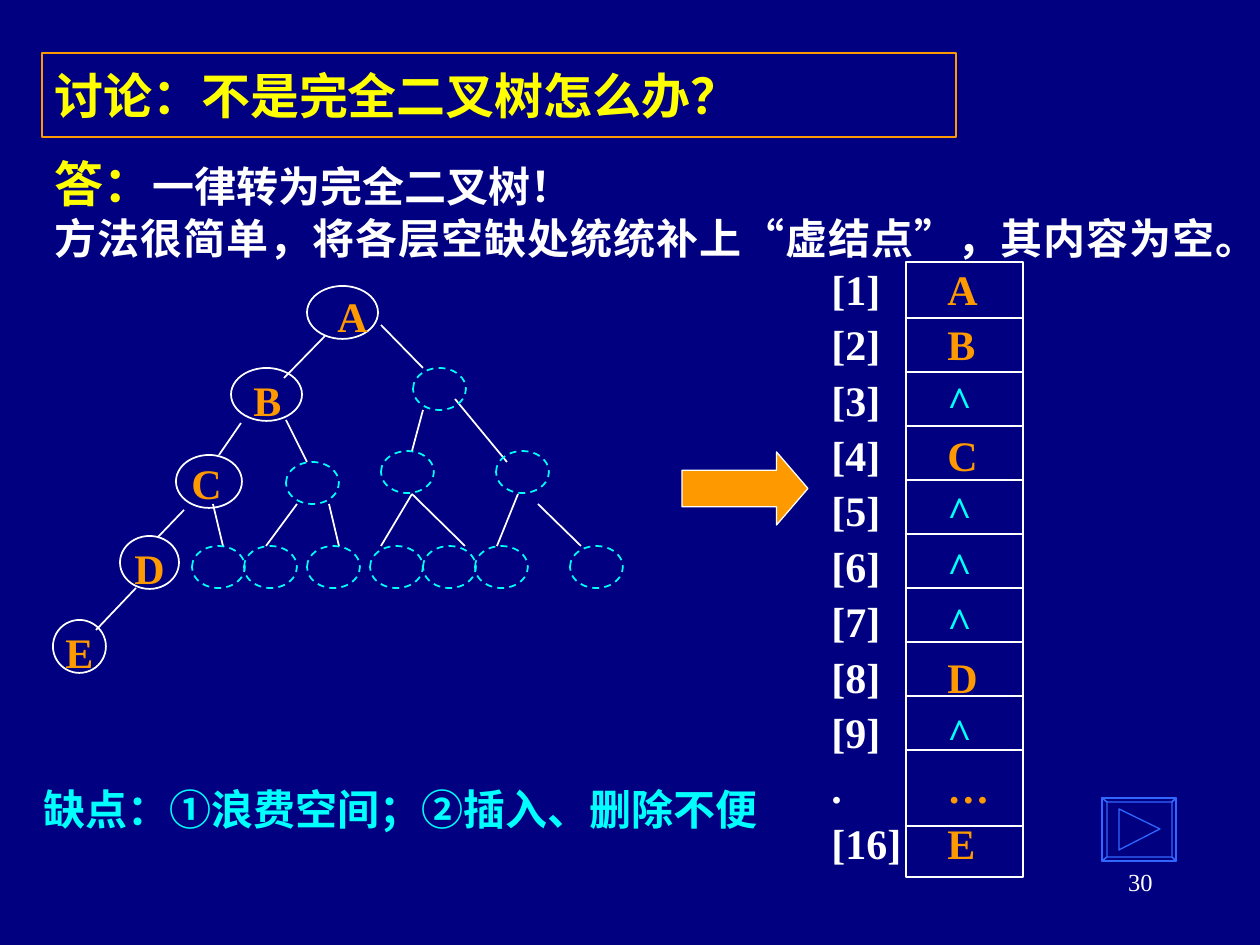
from lxml import etree
from pptx import Presentation
from pptx.dml.color import RGBColor
from pptx.enum.dml import MSO_LINE
from pptx.enum.shapes import MSO_CONNECTOR, MSO_SHAPE
from pptx.enum.text import MSO_ANCHOR, MSO_AUTO_SIZE, PP_ALIGN
from pptx.oxml.ns import qn
from pptx.util import Pt

EMU_PER_PX = 914400 / 126
RECTANGLE, ELLIPSE, ARROW = MSO_SHAPE.RECTANGLE, MSO_SHAPE.OVAL, MSO_SHAPE.RIGHT_ARROW
LEFT, RIGHT, JUSTIFY = PP_ALIGN.LEFT, PP_ALIGN.RIGHT, PP_ALIGN.JUSTIFY
STRAIGHT, DASH = MSO_CONNECTOR.STRAIGHT, MSO_LINE.DASH
MIDDLE, GROW = MSO_ANCHOR.MIDDLE, MSO_AUTO_SIZE.SHAPE_TO_FIT_TEXT
SERIF, CHINESE = "Times New Roman", "Noto Sans CJK SC"
COLORS = {
    "navy": "000080", "orange": "FF9900", "yellow": "FFFF00",
    "white": "FFFFFF", "cyan": "00FFFF", "blue": "3366FF",
}


def px(*lengths):
    return [round(length * EMU_PER_PX) for length in lengths]


def color(name):
    return RGBColor.from_string(COLORS[name])


class SlideBuilder:
    def __init__(self, slide):
        self.slide = slide
        slide.background.fill.solid()
        slide.background.fill.fore_color.rgb = color("navy")

    def outline(self, line, name, width=1, dash=None):
        line.color.rgb = color(name)
        line.width = Pt(width)
        if dash:
            line.dash_style = dash

    def shape(self, kind, box, line, fill=None, width=1, dash=None):
        shape = self.slide.shapes.add_shape(kind, *px(*box))
        shape.shadow.inherit = False
        if fill:
            shape.fill.solid()
            shape.fill.fore_color.rgb = color(fill)
        else:
            shape.fill.background()
        self.outline(shape.line, line, width, dash)
        return shape

    def line(self, *ends):
        connector = self.slide.shapes.add_connector(STRAIGHT, *px(*ends))
        self.outline(connector.line, "white")
        etree.SubElement(connector._element.spPr, qn("a:effectLst"))

    def polygons(self, outlines, line):
        """Draw closed outlines as one unfilled freeform."""
        first, *others = outlines
        builder = self.slide.shapes.build_freeform(*first[0], scale=EMU_PER_PX)
        builder.add_line_segments(first[1:], close=True)
        for points in others:
            builder.move_to(*points[0])
            builder.add_line_segments(points[1:], close=True)
        shape = builder.convert_to_shape()
        shape.shadow.inherit = False
        shape.fill.background()
        self.outline(shape.line, line, 0.75)

    def fill_text(self, frame, paragraphs, align=LEFT, spacing=None, bold=True):
        """Fill a text frame; each paragraph is a list of (text, size, color, font)."""
        for index, runs in enumerate(paragraphs):
            paragraph = frame.add_paragraph() if index else frame.paragraphs[0]
            paragraph.alignment = align
            paragraph.line_spacing = spacing
            for text, size, fill, font in runs:
                run = paragraph.add_run()
                run.text = text
                formats = {"size": Pt(size), "bold": bold, "name": font}
                for attribute, value in formats.items():
                    setattr(run.font, attribute, value)
                run.font.color.rgb = color(fill)
                east_asian = etree.SubElement(run.font._element, qn("a:ea"))
                east_asian.set("typeface", CHINESE)

    def text(self, box, paragraphs, wrap=True, grow=True, **style):
        frame = self.slide.shapes.add_textbox(*px(*box)).text_frame
        frame.word_wrap = wrap
        if grow:
            frame.auto_size = GROW
        self.fill_text(frame, paragraphs, **style)


def draw_heading(builder):
    title = builder.shape(RECTANGLE, (42, 53, 914, 84), "orange", "navy", 0.75)
    title.text_frame.word_wrap = True
    title.text_frame.vertical_anchor = MIDDLE
    builder.fill_text(title.text_frame, [[
        ("讨论：", 28, "yellow", SERIF),
        ("不是完全二叉树怎么办？", 28, "yellow", CHINESE),
    ]])
    builder.text((42, 147, 1187, 122), [
        [("答：", 28, "yellow", CHINESE), ("一律转为完全二叉树！", 24, "white", CHINESE)],
        [("方法很简单，将各层空缺处统统补上“虚结点”，其内容为空。", 24, "white", CHINESE)],
    ], align=JUSTIFY)


def draw_array(builder):
    values = ["A", "B", "^", "C", "^", "^", "^", "D", "^", "…", "E"]
    indexes = [f"[{number}]" for number in range(1, 10)] + [".", "[16]"]
    cells = [[(value, 24, "cyan" if value == "^" else "orange", SERIF)] for value in values]
    labels = [[(index, 24, "white", SERIF)] for index in indexes]
    builder.text((935, 252, 68, 622), cells, wrap=False, spacing=1.1)
    builder.shape(RECTANGLE, (906, 262, 117, 615), "white")
    for row in range(10):
        y = 318 + 54 * row if row < 9 else 826
        builder.line(905, y, 1024, y)
    builder.text((819, 252, 96, 622), labels, wrap=False, spacing=1.1)


def draw_tree(builder):
    nodes = {  # letter: (ellipse, label box)
        "A": ((307, 286, 71, 53), (325, 284, 55, 63)),
        "B": ((231, 368, 71, 53), (241, 368, 53, 63)),
        "C": ((176, 455, 66, 53), (179, 451, 55, 63)),
        "D": ((120, 536, 59, 53), (122, 536, 55, 63)),
        "E": ((53, 620, 53, 53), (53, 620, 53, 63)),
    }
    virtual_nodes = [(413, 368), (286, 462), (381, 451), (496, 451)]
    virtual_nodes += [(x, 546) for x in (192, 244, 307, 370, 423, 475, 570)]
    edges = [
        (325, 336, 284, 378), (381, 325, 423, 368),
        (241, 423, 219, 455), (286, 420, 307, 462),
        (423, 410, 412, 451), (455, 399, 507, 462),
        (184, 510, 158, 537), (213, 504, 223, 546),
        (297, 504, 266, 546), (329, 504, 339, 546),
        (412, 494, 381, 546), (412, 494, 465, 546),
        (518, 494, 497, 546), (538, 504, 581, 546),
        (136, 588, 96, 630),
    ]
    for edge in edges:
        builder.line(*edge)
    for letter, (ellipse, label) in nodes.items():
        builder.shape(ELLIPSE, ellipse, "white")
        builder.text(label, [[(letter, 24, "orange", SERIF)]], wrap=False)
    for x, y in virtual_nodes:
        builder.shape(ELLIPSE, (x, y, 53, 42), "cyan", dash=DASH)


def draw_next_button(builder):
    outer = [(1102, 798), (1176, 798), (1176, 861), (1102, 861)]
    inner = [(1107, 802), (1172, 802), (1172, 857), (1107, 857)]
    bevels = [
        [outer[side - 1], outer[side], inner[side], inner[side - 1]] for side in range(4)
    ]
    triangle = [(1119, 809), (1160, 829), (1119, 850)]
    builder.polygons([outer, *bevels, triangle], "blue")


def main():
    presentation = Presentation()
    presentation.slide_width, presentation.slide_height = px(1260, 945)
    builder = SlideBuilder(presentation.slides.add_slide(presentation.slide_layouts[6]))
    draw_heading(builder)
    draw_array(builder)
    draw_tree(builder)
    builder.text((31, 777, 766, 113), [
        [("缺点：①浪费空间；②插入、删除不便", 24, "cyan", CHINESE)],
    ])
    draw_next_button(builder)
    arrow = builder.shape(ARROW, (682, 452, 126, 73), "white", "orange", 0.75)
    arrow.adjustments[0], arrow.adjustments[1] = 0.5, 0.43
    builder.text((903, 861, 262, 63), [[("30", 14, "white", SERIF)]],
                 grow=False, align=RIGHT, bold=False)
    presentation.save("out.pptx")


if __name__ == "__main__":
    main()
